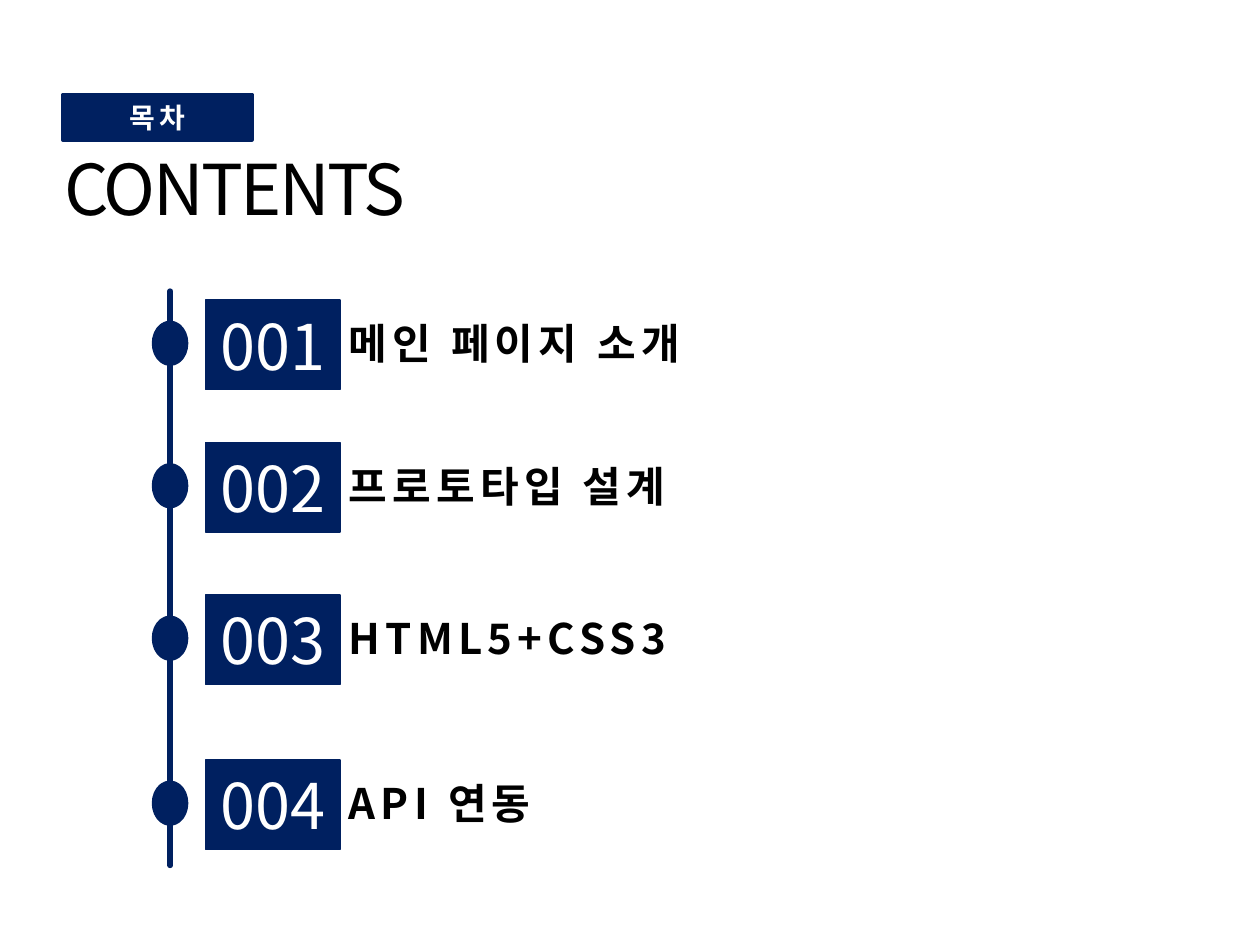
import pptx
import pptx.dml.color
import pptx.enum.shapes
import pptx.enum.text
import pptx.oxml
import pptx.oxml.ns
import pptx.util

Pt = pptx.util.Pt
SHAPES = pptx.enum.shapes.MSO_SHAPE
ALIGN = pptx.enum.text.PP_ALIGN
ANCHOR = pptx.enum.text.MSO_ANCHOR
FONT = "Noto Sans CJK KR"
COLOURS = {"navy": "002060", "white": "FFFFFF", "black": "000000"}

# Agenda entries: top of the number box, number, label, label width
ENTRIES = [
    (171.5, "001", "메인 페이지 소개", 227.5),
    (252.9, "002", "프로토타입 설계", 213),
    (340, "003", "HTML5+CSS3", 197.5),
    (434.3, "004", "API 연동", 125.5),
]
AXIS = 97.2


def colour(name):
    return pptx.dml.color.RGBColor.from_string(COLOURS[name])


def write(box, text, size, ink, align=ALIGN.LEFT, bold=False, spacing=0, wrap=False):
    """Put one formatted line of text into a shape."""
    frame = box.text_frame
    frame.text = text
    frame.word_wrap = wrap
    frame.auto_size = pptx.enum.text.MSO_AUTO_SIZE.NONE
    frame.vertical_anchor = ANCHOR.MIDDLE
    frame.margin_left = frame.margin_right = Pt(7.2)
    frame.margin_top = frame.margin_bottom = Pt(3.6)
    para = frame.paragraphs[0]
    para.alignment = align
    para.line_spacing = 1.0
    para.space_before = Pt(0)
    span = para.runs[0]
    span.font.name = FONT
    span.font.size = Pt(size)
    span.font.bold = bold
    span.font.color.rgb = colour(ink)
    properties = span.font._element
    properties.set("spc", str(int(spacing * 100)))
    east_asian = pptx.oxml.parse_xml(
        f'<a:ea {pptx.oxml.ns.nsdecls("a")} typeface="{FONT}"/>')
    properties.find(pptx.oxml.ns.qn("a:latin")).addnext(east_asian)


def add_navy_shape(page, kind, left, top, width, height, line_width):
    shape = page.shapes.add_shape(kind, Pt(left), Pt(top), Pt(width), Pt(height))
    shape.shadow.inherit = False
    shape.fill.solid()
    shape.fill.fore_color.rgb = colour("navy")
    shape.line.color.rgb = colour("navy")
    shape.line.width = Pt(line_width)
    return shape


def add_timeline(page):
    line = page.shapes.add_connector(
        pptx.enum.shapes.MSO_CONNECTOR.STRAIGHT,
        Pt(AXIS), Pt(166.3), Pt(AXIS), Pt(494.6))
    line.line.color.rgb = colour("navy")
    line.line.width = Pt(3)
    line.line._get_or_add_ln().set("cap", "rnd")
    line._element.spPr.append(
        pptx.oxml.parse_xml(f'<a:effectLst {pptx.oxml.ns.nsdecls("a")}/>'))


def add_entry(page, top, number, label, width):
    add_navy_shape(page, SHAPES.OVAL, AXIS - 7.2, top + 15, 14.4, 19.4, 6.5)
    box = add_navy_shape(page, SHAPES.RECTANGLE, 117.4, top, 77, 51.1, 0.75)
    write(box, number, 36, "white", ALIGN.CENTER)
    caption = page.shapes.add_textbox(Pt(192.2), Pt(top + 6.5), Pt(width), Pt(36))
    write(caption, label, 24, "black", bold=True, spacing=3)


def add_heading(page):
    title = page.shapes.title
    title.left, title.top, title.width, title.height = Pt(29.5), Pt(79.2), Pt(216.7), Pt(55.4)
    write(title, "CONTENTS", 40, "black", spacing=-1.5)
    tag = add_navy_shape(page, SHAPES.RECTANGLE, 36, 54, 108, 26, 2)
    write(tag, "목차", 16, "white", ALIGN.CENTER, bold=True, spacing=3, wrap=True)


def main():
    deck = pptx.Presentation()
    deck.slide_width, deck.slide_height = Pt(720), Pt(540)
    page = deck.slides.add_slide(deck.slide_layouts[5])
    add_timeline(page)
    for entry in ENTRIES:
        add_entry(page, *entry)
    add_heading(page)
    deck.save("out.pptx")


if __name__ == "__main__":
    main()
